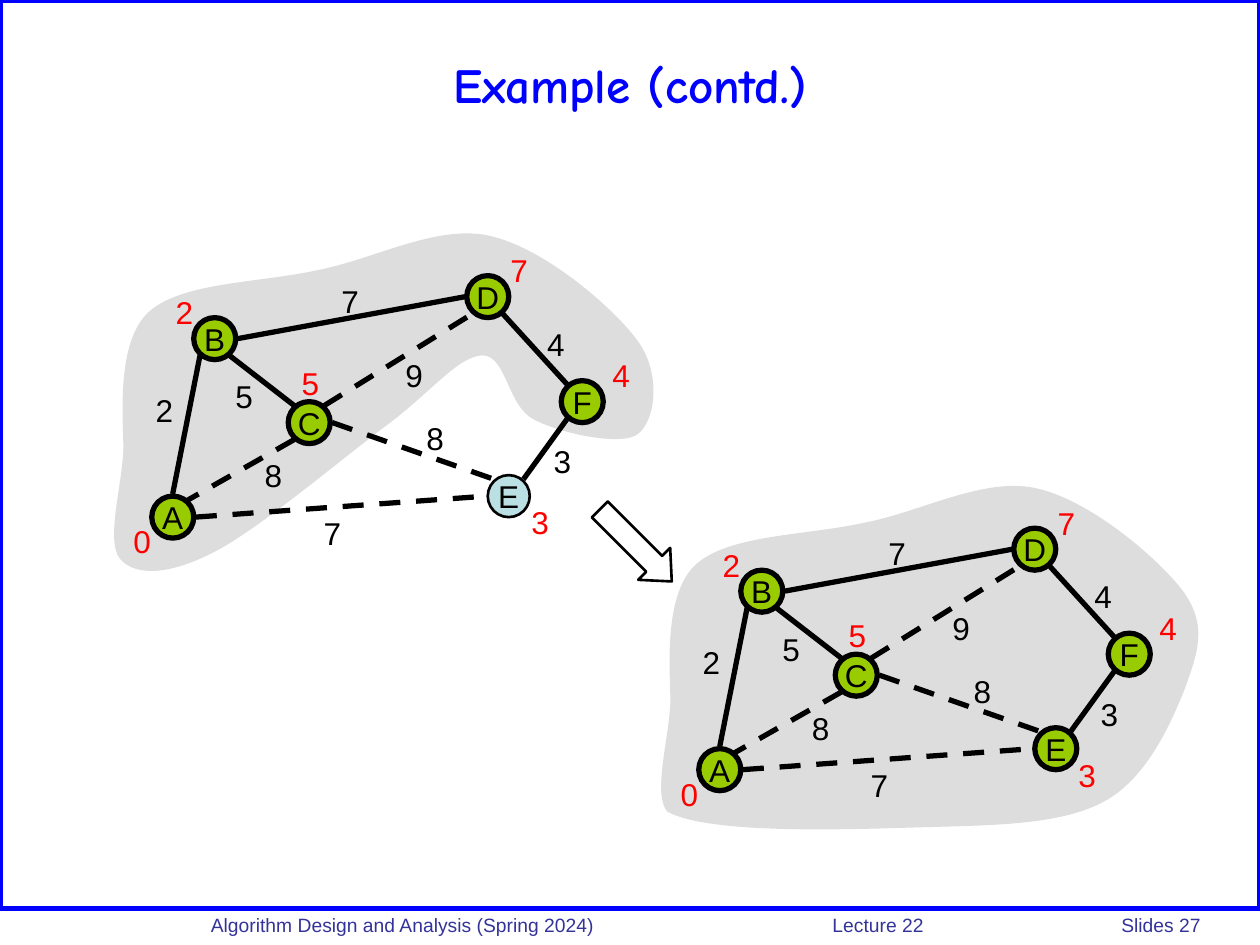
from lxml import etree
from pptx import Presentation
from pptx.dml.color import RGBColor
from pptx.enum.dml import MSO_LINE
from pptx.enum.shapes import MSO_CONNECTOR, MSO_SHAPE
from pptx.enum.text import MSO_ANCHOR, PP_ALIGN
from pptx.oxml.ns import qn
from pptx.util import Emu, Inches, Pt

RECTANGLE, OVAL, ARROW = MSO_SHAPE.RECTANGLE, MSO_SHAPE.OVAL, MSO_SHAPE.RIGHT_ARROW
STRAIGHT, DASH = MSO_CONNECTOR.STRAIGHT, MSO_LINE.DASH
LEFT, CENTER = PP_ALIGN.LEFT, PP_ALIGN.CENTER
TOP, MIDDLE = MSO_ANCHOR.TOP, MSO_ANCHOR.MIDDLE

COLS, ROWS = 120, 90  # square cells, twelve to the inch
BLUE, NAVY, BLACK, RED = "0000FF", "333399", "000000", "FF0000"
GREEN, PALE, GREY = "99CC00", "BBE0E3", "DDDDDD"

# All graph positions are in cells from the centre of node A.
NODES = {"B": (4, -17), "D": (30, -21), "C": (13, -9),
         "A": (0, 0), "F": (39, -11), "E": (32, -2)}
SITES = {"t": (0, -2.2), "l": (-2.1, 0), "r": (2.2, 0),
         "tl": (-1.4, -1.6), "tr": (1.4, -1.6), "bl": (-1.4, 1.6), "br": (1.4, 1.6)}
# node, site, node, site, in the tree, weight, centre of the weight
EDGES = [
    ("B", "br", "C", "tl", True, "5", (6.8, -11.5)),
    ("C", "bl", "A", "tr", False, "8", (9.6, -4)),
    ("B", "bl", "A", "t", True, "2", (-0.8, -10.2)),
    ("C", "r", "E", "tl", False, "8", (25, -7.5)),
    ("A", "r", "E", "l", False, "7", (15.2, 1.5)),
    ("B", "r", "D", "l", True, "7", (16.9, -20.6)),
    ("C", "tr", "D", "bl", False, "9", (23, -13.5)),
    ("F", "tl", "D", "br", True, "4", (36.5, -16.5)),
    ("E", "tr", "F", "bl", True, "3", (37.1, -5.3)),
]
KEYS = [("0", (-2.9, 2.3)), ("3", (35, 0.5)), ("2", (1.1, -19.5)),
        ("5", (13.1, -12.8)), ("4", (42.7, -13.5)), ("7", (33, -23.5))]

# Region outlines: a start point, then three points for each Bézier curve.
UPPER_SIDE = [
    (44.2, -16.9),
    (41.9, -20), (35.3, -25.7), (30.1, -26.8),
    (25.1, -27.9), (19.1, -24.5), (13.7, -23.5),
    (8.3, -22.3), (1, -22.4), (-2.2, -19.6),
    (-5.2, -17), (-4.8, -10.4), (-4.7, -7),
    (-4.6, -3.7), (-6.5, 2.2), (-5, 4),
]
WITHOUT_E = UPPER_SIDE + [
    (-3.5, 5.7), (-0.2, 5.5), (4, 3.3),
    (8.3, 1.1), (16.4, -5.8), (20.6, -8.9),
    (24.8, -12.1), (27.2, -15.3), (29.5, -15.4),
    (31.8, -15.4), (31.9, -10.5), (34.4, -9.3),
    (36.8, -8), (42.7, -6.7), (44.3, -7.9),
    (46, -9.2), (46.6, -13.7), UPPER_SIDE[0],
]
WITH_E = UPPER_SIDE + [
    (-1, 6.2), (12.2, 5.7), (19, 5.5),
    (26, 5.3), (32.3, 5.3), (36.5, 3.1),
    (40.7, 0.9), (43, -4.5), (44.3, -7.7),
    (45.5, -11.1), (46.5, -13.6), UPPER_SIDE[0],
]


def rgb(value):
    return RGBColor.from_string(value)


def shift(origin, offset):
    return origin[0] + offset[0], origin[1] + offset[1]


class Board:
    """Draws on one slide, with lengths in grid cells."""

    def __init__(self, prs):
        self.s = prs.slides.add_slide(prs.slide_layouts[5])
        self.cell = prs.slide_width / COLS
        self.font = "Arial"

    def emu(self, *cells):
        return [Emu(round(c * self.cell)) for c in cells]

    def add_text(self, sp, text, size, color, align=CENTER, anchor=TOP,
                 font=None, bold=False, wrap=False):
        tf = sp.text_frame
        tf.word_wrap, tf.vertical_anchor = wrap, anchor
        p = tf.paragraphs[0]
        p.alignment = align
        r = p.add_run()
        r.text = text
        r.font.name, r.font.size, r.font.bold = font or self.font, Pt(size), bold
        r.font.color.rgb = rgb(color)
        return p

    def title(self, text, x, y, w, h):
        sp = self.s.shapes.title
        sp.left, sp.top, sp.width, sp.height = self.emu(x, y, w, h)
        self.add_text(sp, text, 28, BLUE, anchor=MIDDLE, font="Comic Neue",
                      bold=True, wrap=True)

    def paint(self, sp, fill=None, line=None, width=3):
        sp.shadow.inherit = False
        if fill:
            sp.fill.solid()
            sp.fill.fore_color.rgb = rgb(fill)
        else:
            sp.fill.background()
        if line:
            sp.line.color.rgb, sp.line.width = rgb(line), Pt(width)
        else:
            sp.line.fill.background()

    def shape(self, kind, x, y, w, h, **paint):
        sp = self.s.shapes.add_shape(kind, *self.emu(x, y, w, h))
        self.paint(sp, **paint)
        return sp

    def label(self, text, centre, color):
        w, h = 4.08, 4.8
        x, y = shift(centre, (-w / 2, -h / 2))
        self.add_text(self.s.shapes.add_textbox(*self.emu(x, y, w, h)), text, 18, color)

    def footer(self, parts, x, y, w, h, indent, stops):
        sp = self.s.shapes.add_textbox(*self.emu(x, y, w, h))
        p = self.add_text(sp, "\t".join(parts), 11, NAVY, align=LEFT, wrap=True)
        pPr = p._p.get_or_add_pPr()
        pPr.set("marL", str(self.emu(indent)[0]))
        tabs = etree.SubElement(pPr, qn("a:tabLst"))
        for stop in self.emu(*stops):
            etree.SubElement(tabs, qn("a:tab"), pos=str(stop), algn="l")

    def edge(self, start, end, solid):
        c = self.s.shapes.add_connector(STRAIGHT, *self.emu(*start, *end))
        c.line.color.rgb, c.line.width = rgb(BLACK), Pt(3)
        if not solid:
            c.line.dash_style = DASH
        etree.SubElement(c._element.spPr, qn("a:effectLst"))

    def region(self, origin, outline):
        """Build the control polygon, then turn each three segments into one curve."""
        points = [self.emu(*shift(origin, p)) for p in outline]
        builder = self.s.shapes.build_freeform(*points[0])
        builder.add_line_segments(points[1:], close=True)
        sp = builder.convert_to_shape()
        segments = list(sp._element.iter(qn("a:lnTo")))
        for i in range(0, len(segments), 3):
            curve = etree.Element(qn("a:cubicBezTo"))
            segments[i].addprevious(curve)
            for segment in segments[i:i + 3]:
                curve.append(segment[0])
                segment.getparent().remove(segment)
        self.paint(sp, fill=GREY)

    def node(self, name, centre, reached):
        d = 4
        x, y = shift(centre, (-d / 2, -d / 2))
        sp = self.shape(OVAL, x, y, d, d, fill=GREEN if reached else PALE,
                        line=BLACK, width=3 if reached else 1.5)
        self.add_text(sp, name, 18, BLACK, anchor=MIDDLE)

    def graph(self, origin, outline, reached):
        self.region(origin, outline)
        for name, offset in NODES.items():
            self.node(name, shift(origin, offset), name in reached)
        for a, a_site, b, b_site, solid, _, _ in EDGES:
            start, end = (shift(shift(origin, NODES[n]), SITES[site])
                          for n, site in ((a, a_site), (b, b_site)))
            self.edge(start, end, solid)
        for *_, weight, centre in EDGES:
            self.label(weight, shift(origin, centre), BLACK)
        for key, centre in KEYS:
            self.label(key, shift(origin, centre), RED)


def main():
    prs = Presentation()
    prs.slide_width, prs.slide_height = Inches(10), Inches(7.5)
    board = Board(prs)
    board.shape(RECTANGLE, 0, 0, COLS, 86.5, line=BLUE)
    board.footer(["Algorithm Design and Analysis (Spring 2024)", "Lecture 22", "Slides 27"],
                 16, ROWS - 3.6, 104, 3.1, indent=2.9, stops=(59.2, 86.7))
    board.title("Example (contd.)", 6, 2, 108, 12)
    board.graph((16.45, 49.25), WITHOUT_E, "ABCDF")
    board.graph((68.55, 73.3), WITH_E, "ABCDEF")
    arrow = board.shape(ARROW, 55.7, 49.8, 9.7, 4.3, line=BLACK, width=1.5)
    arrow.rotation = 45
    arrow.adjustments[1] = 0.55
    prs.save("out.pptx")


if __name__ == "__main__":
    main()
